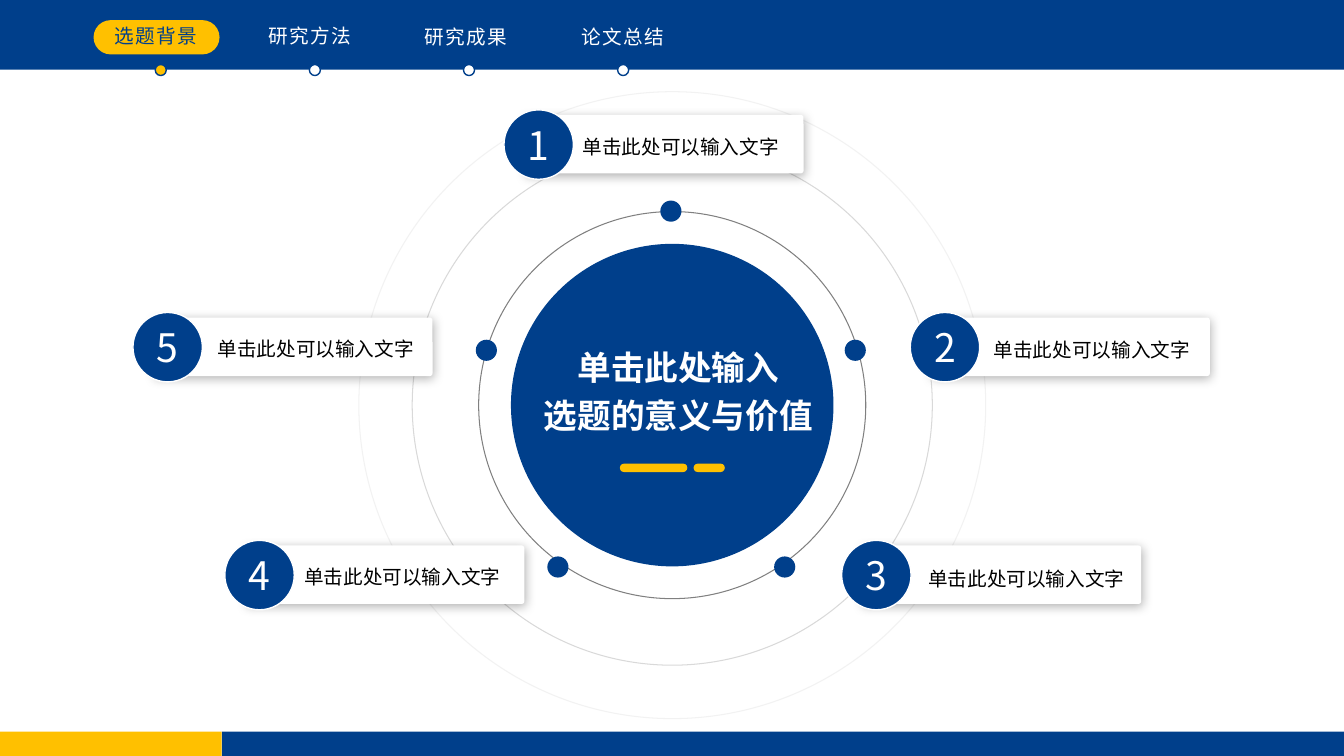
from dataclasses import dataclass

from lxml.etree import SubElement
from pptx import Presentation
from pptx.dml.color import RGBColor
from pptx.enum.shapes import MSO_SHAPE
from pptx.enum.text import MSO_ANCHOR, MSO_AUTO_SIZE, PP_ALIGN
from pptx.oxml.ns import qn
from pptx.util import Pt


@dataclass(frozen=True)
class Theme:
    font: str = "Noto Sans CJK SC"
    blue: str = "003F8B"
    gold: str = "FFC000"
    white: str = "FFFFFF"
    black: str = "000000"
    rings: tuple = ("808080", "D9D9D9", "F2F2F2")
    body: int = 14
    title: int = 24
    number: int = 28


THEME = Theme()
CENTER = (480.2, 289.4)
RING_DIAMETERS = (276.5, 371.5, 447.8)
DISC = 230.4
BADGE = 49.6
LABEL = "单击此处可以输入文字"

# label, centre x, top
TABS = [
    ("选题背景", 111.6, 13.7),
    ("研究方法", 221.4, 13.7),
    ("研究成果", 332.6, 14.4),
    ("论文总结", 444.6, 14.4),
]
# badge left, badge top, label left, label top
CARDS = [
    (360, 78.5, 409, 87.8),
    (650.2, 223.2, 702.7, 232.6),
    (601.2, 386, 655.9, 396.7),
    (160.6, 386, 210.2, 395.3),
    (95, 223.2, 148.3, 231.8),
]
RING_DOTS = [(479.2, 150.8), (610.9, 250.2), (560.5, 405), (398.5, 405), (347.4, 250.2)]


def add_box(shapes, kind, x, y, w, h, fill=None, line=None, line_width=1, radius=None):
    sp = shapes.add_shape(kind, Pt(x), Pt(y), Pt(w), Pt(h))
    sp.shadow.inherit = False
    if radius is not None:
        sp.adjustments[0] = radius
    if fill:
        sp.fill.solid()
        sp.fill.fore_color.rgb = RGBColor.from_string(fill)
    else:
        sp.fill.background()
    if line:
        sp.line.color.rgb = RGBColor.from_string(line)
        sp.line.width = Pt(line_width)
    else:
        sp.line.fill.background()
    return sp


def add_circle(shapes, cx, cy, d, **style):
    return add_box(shapes, MSO_SHAPE.OVAL, cx - d / 2, cy - d / 2, d, d, **style)


def style_paragraph(p, size, color, align=PP_ALIGN.CENTER, bold=False, tracking=0):
    p.alignment = align
    p.font.size = Pt(size)
    p.font.bold = bold
    p.font.color.rgb = RGBColor.from_string(color)
    p.font.name = THEME.font
    props = p.font._rPr
    SubElement(props, qn("a:ea")).set("typeface", THEME.font)
    if tracking:
        props.set("spc", str(round(tracking * 100)))


def add_label(shapes, text, x, y, w, h, color, spacing=None, **style):
    tf = shapes.add_textbox(Pt(x), Pt(y), Pt(w), Pt(h)).text_frame
    tf.word_wrap = True
    p = tf.paragraphs[0]
    p.text = text
    p.line_spacing = spacing
    style_paragraph(p, THEME.body, color, **style)


def add_soft_shadow(sp):
    effects = sp._element.spPr.find(qn("a:effectLst"))
    shadow = SubElement(effects, qn("a:outerShdw"), blurRad=str(Pt(8)), dist=str(Pt(2)),
                        dir=str(70 * 60000), algn="ctr", rotWithShape="0")
    color = SubElement(shadow, qn("a:srgbClr"), val=THEME.black)
    SubElement(color, qn("a:alpha"), val="29000")


def add_navigation(shapes):
    add_box(shapes, MSO_SHAPE.RECTANGLE, 0, 0, 960, 49.8, fill=THEME.blue)
    add_box(shapes, MSO_SHAPE.ROUNDED_RECTANGLE, 66.8, 14.4, 90, 24.5,
            fill=THEME.gold, radius=0.5)
    for i, (text, cx, y) in enumerate(TABS):
        active = i == 0
        add_circle(shapes, 114.8 + 110.1 * i, 50, 7.9,
                   fill=THEME.gold if active else THEME.white, line=THEME.blue)
        add_label(shapes, text, cx - 53, y, 106, 24.5,
                  THEME.blue if active else THEME.white, tracking=1)


def add_footer(shapes):
    add_box(shapes, MSO_SHAPE.RECTANGLE, 158.4, 522.5, 801.6, 17.5, fill=THEME.blue)
    add_box(shapes, MSO_SHAPE.RECTANGLE, 0, 522.5, 158.4, 17.5, fill=THEME.gold)


def add_hub(shapes):
    add_circle(shapes, *CENTER, DISC, fill=THEME.blue)
    for d, color in zip(RING_DIAMETERS, THEME.rings):
        add_circle(shapes, *CENTER, d, line=color, line_width=0.75)
    for cx, cy in RING_DOTS:
        add_circle(shapes, cx, cy, 15.1, fill=THEME.blue)
    for x, w in ((442.8, 48.2), (495.4, 22.3)):
        add_box(shapes, MSO_SHAPE.ROUNDED_RECTANGLE, x, 331.2, w, 6,
                fill=THEME.gold, radius=0.5)


def place_title(s):
    sp = s.shapes.title
    sp.left, sp.top, sp.width, sp.height = Pt(385.2), Pt(241.9), Pt(198.7), Pt(67)
    tf = sp.text_frame
    tf.text = "单击此处输入\n选题的意义与价值"
    tf.word_wrap = True
    tf.auto_size = MSO_AUTO_SIZE.NONE
    tf.vertical_anchor = MSO_ANCHOR.TOP
    tf.margin_left = tf.margin_right = tf.margin_top = tf.margin_bottom = 0
    for p in tf.paragraphs:
        p.line_spacing = 1.2
        style_paragraph(p, THEME.title, THEME.white, bold=True)
    # Bring the title in front of the disc
    s.shapes._spTree.append(sp._element)


def add_card(shapes, number, x, y, label_x, label_y):
    group = shapes.add_group_shape().shapes
    card = add_box(group, MSO_SHAPE.ROUNDED_RECTANGLE, x + 14.6, y + 3.6, 199.4, 41.8,
                   fill=THEME.white, radius=0.047)
    add_soft_shadow(card)
    badge = add_box(group, MSO_SHAPE.OVAL, x, y, BADGE, BADGE,
                    fill=THEME.blue, line=THEME.white)
    tf = badge.text_frame
    tf.vertical_anchor = MSO_ANCHOR.MIDDLE
    p = tf.paragraphs[0]
    p.text = str(number)
    p.space_after = Pt(6)
    style_paragraph(p, THEME.number, THEME.white, tracking=0.8)
    add_label(shapes, LABEL, label_x, label_y, 159.1, 29.5, THEME.black,
              spacing=1.3, align=PP_ALIGN.LEFT)


def main():
    prs = Presentation()
    prs.slide_width, prs.slide_height = Pt(960), Pt(540)
    s = prs.slides.add_slide(prs.slide_layouts[5])

    # Frame
    add_navigation(s.shapes)
    add_footer(s.shapes)

    # Centre
    add_hub(s.shapes)
    place_title(s)

    # Numbered cards around the rings
    for number, card in enumerate(CARDS, start=1):
        add_card(s.shapes, number, *card)

    prs.save("out.pptx")


if __name__ == "__main__":
    main()
